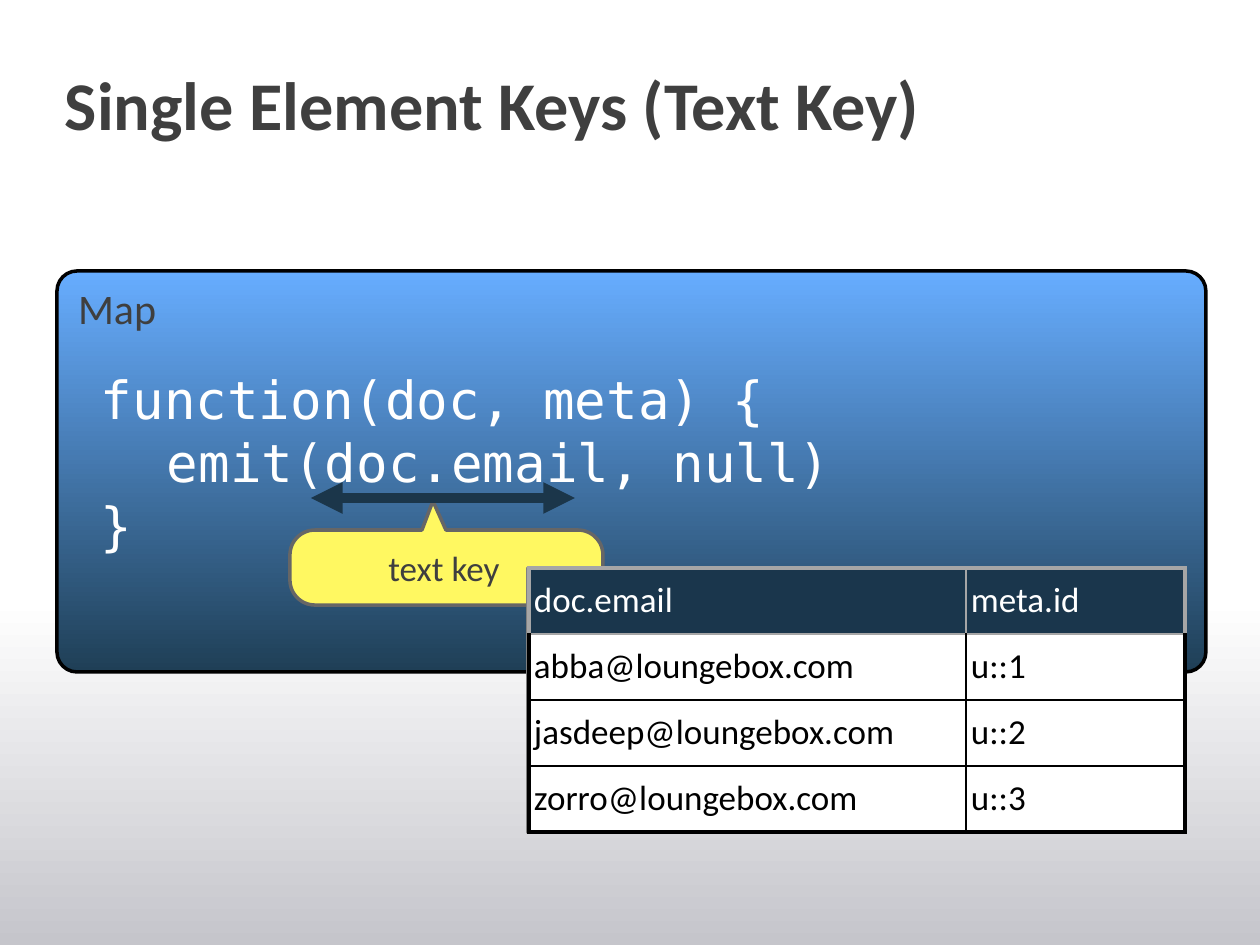
"""Build the slide on single element text keys."""
from math import cos, radians, sin

from lxml.etree import SubElement
from pptx import Presentation
from pptx.dml.color import RGBColor
from pptx.enum.shapes import MSO_CONNECTOR, MSO_SHAPE
from pptx.enum.text import MSO_ANCHOR, PP_ALIGN
from pptx.oxml import parse_xml
from pptx.oxml.ns import nsdecls, qn
from pptx.util import Emu, Pt

TITLE = "Single Element Keys (Text Key)"
CODE = [("function(doc, meta) {", 0), ("emit(doc.email, null)", 1), ("}", 0)]
ROWS = [
    ("doc.email", "meta.id"),
    ("abba@loungebox.com", "u::1"),
    ("jasdeep@loungebox.com", "u::2"),
    ("zorro@loungebox.com", "u::3"),
]
COLS = [437, 219]
ROW = 66
INDENT = 66
HEX = {
    "text": "3F3F3F", "white": "FFFFFF", "black": "000000", "fade": "C5C5CB",
    "sky": "67ADFF", "deep": "1F3F56", "note": "FFF861", "edge": "666666",
    "arrow": "1B364A", "head": "1A364C", "rule": "A6A6A6",
    "back": "E6E6E6", "frame": "808080",
}
SANS, MONO = "Calibri", "DejaVu Sans Mono"


def px(n):
    return Emu(round(n * 914400 / 126))


def rgb(name):
    return RGBColor.from_string(HEX[name])


def style(frame, size, color, font=SANS, bold=False):
    for para in frame.paragraphs:
        for run in para.runs:
            run.font.size = Pt(size)
            run.font.name = font
            run.font.bold = bold
            run.font.color.rgb = rgb(color)


def inset(item, left, top, right, bottom):
    item.margin_left, item.margin_top = px(left), px(top)
    item.margin_right, item.margin_bottom = px(right), px(bottom)


def text(slide, box, lines, pad, size, color, font=SANS, bold=False, wrap=True):
    frame = slide.shapes.add_textbox(*map(px, box)).text_frame
    frame.word_wrap = wrap
    inset(frame, *pad)
    frame.text = "\n".join(line for line, _ in lines)
    for para, (_, level) in zip(frame.paragraphs, lines):
        if level:
            para.level = level
            props = para._p.get_or_add_pPr()
            props.set("marL", str(px(INDENT * level)))
            props.set("indent", "0")
    style(frame, size, color, font, bold)


def paint(shape, fill, line=None, angle=None):
    shape.shadow.inherit = False
    if angle is None:
        shape.fill.solid()
        shape.fill.fore_color.rgb = rgb(fill)
    else:
        shape.fill.gradient()
        shape.fill.gradient_angle = angle
        for stop, name in zip(shape.fill.gradient_stops, fill):
            stop.color.rgb = rgb(name)
    if line:
        shape.line.color.rgb = rgb(line)
        shape.line.width = Pt(2)
    else:
        shape.line.fill.background()


def block(slide, kind, box, *look):
    shape = slide.shapes.add_shape(kind, *map(px, box))
    paint(shape, *look)
    return shape


def callout(slide):
    left, top, right, bottom, curve = 290, 530, 603, 605, 25
    tip, base = (433, 501), (422, 446)
    turns = [(left, top, 1, 1, 270), (left, bottom, 1, -1, 180),
             (right, bottom, -1, -1, 90), (right, top, -1, 1, 0)]
    dots = [(base[0], top)]
    for x, y, across, down, start in turns:
        for step in range(0, 91, 6):
            turn = radians(start - step)
            dots.append((x + across * curve + curve * cos(turn),
                         y + down * curve + curve * sin(turn)))
    dots.append((base[1], top))
    path = slide.shapes.build_freeform(px(tip[0]), px(tip[1]))
    path.add_line_segments([(px(x), px(y)) for x, y in dots])
    shape = path.convert_to_shape()
    paint(shape, "note", "edge")
    frame = shape.text_frame
    frame.word_wrap = True
    frame.vertical_anchor = MSO_ANCHOR.MIDDLE
    inset(frame, 8, top - tip[1] + 8, 13, 8)
    frame.text = "text key"
    frame.paragraphs[0].alignment = PP_ALIGN.CENTER
    style(frame, 20, "text")


def arrow(slide, x, y, end):
    line = slide.shapes.add_connector(MSO_CONNECTOR.STRAIGHT, px(x), px(y), px(end), px(y))
    line.line.color.rgb = rgb("arrow")
    line.line.width = Pt(6)
    for tag in ("a:headEnd", "a:tailEnd"):
        SubElement(line.line._get_or_add_ln(), qn(tag), type="triangle")
    SubElement(line._element.spPr, qn("a:effectLst"))


def borders(cell, sides):
    props = cell._tc.get_or_add_tcPr()
    for spot, (side, color, width) in enumerate(sides):
        props.insert(spot, parse_xml(
            f'<a:ln{side} {nsdecls("a")} w="{Pt(width)}"><a:solidFill>'
            f'<a:srgbClr val="{HEX[color]}"/></a:solidFill></a:ln{side}>'))


def grid(slide, x, y):
    size = sum(COLS), ROW * len(ROWS)
    block(slide, MSO_SHAPE.RECTANGLE, (x - 1, y, *size), "back", "frame")
    table = slide.shapes.add_table(len(ROWS), len(COLS), *map(px, (x, y, *size))).table
    table.first_row = table.horz_banding = False
    for col, width in zip(table.columns, COLS):
        col.width = px(width)
    for r, row in enumerate(ROWS):
        table.rows[r].height = px(ROW)
        ink = "black" if r else "rule"
        for c, word in enumerate(row):
            cell = table.cell(r, c)
            cell.fill.solid()
            cell.fill.fore_color.rgb = rgb("white" if r else "head")
            cell.vertical_anchor = MSO_ANCHOR.MIDDLE
            inset(cell, 5, 5, 5, 5)
            cell.text = word
            style(cell.text_frame, 20, "black" if r else "white")
            borders(cell, [
                ("L", ink, 1 if c else 2.25),
                ("R", ink, 2.25 if c == len(COLS) - 1 else 1),
                ("T", "black" if r > 1 else "rule", 1 if r else 2.25),
                ("B", ink, 2.25 if r == len(ROWS) - 1 else 1),
            ])


def main():
    deck = Presentation()
    deck.slide_width, deck.slide_height = px(1260), px(945)
    slide = deck.slides.add_slide(deck.slide_layouts[6])
    block(slide, MSO_SHAPE.RECTANGLE, (0, 599, 1260, 346), ("fade", "white"), None, 90)
    text(slide, (65, 62, 1130, 91), [(TITLE, 0)], (0, 0, 0, 0), 39, "text", bold=True)
    panel = block(slide, MSO_SHAPE.ROUNDED_RECTANGLE, (57, 271, 1149, 401),
                  ("sky", "deep"), "black", 270)
    panel.adjustments[0] = 0.05
    pad = (5, 5, 9, 5)
    text(slide, (96, 362, 1090, 183), CODE, pad, 30, "white", MONO)
    callout(slide)
    arrow(slide, 311, 498, 575)
    text(slide, (73, 278, 93, 60), [("Map", 0)], pad, 24, "text", wrap=False)
    grid(slide, 529, 568)
    deck.save("out.pptx")


if __name__ == "__main__":
    main()
